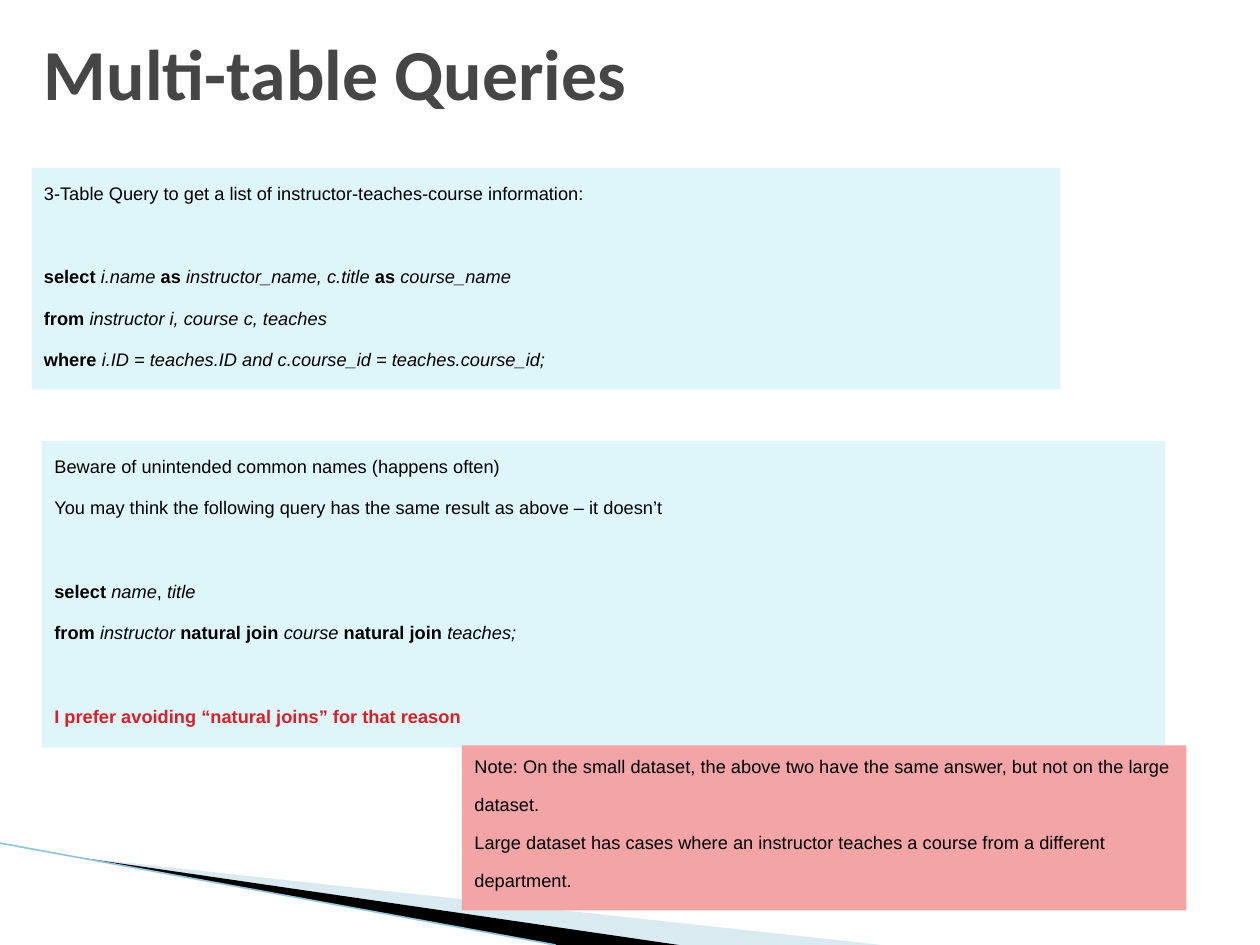
from lxml import etree
from pptx import Presentation
from pptx.dml.color import RGBColor
from pptx.enum.shapes import MSO_CONNECTOR, MSO_SHAPE
from pptx.enum.text import MSO_ANCHOR, PP_ALIGN
from pptx.oxml.ns import qn
from pptx.util import Inches, Pt

RECTANGLE, STRAIGHT = MSO_SHAPE.RECTANGLE, MSO_CONNECTOR.STRAIGHT
TOP, MIDDLE, LEFT = MSO_ANCHOR.TOP, MSO_ANCHOR.MIDDLE, PP_ALIGN.LEFT

COLORS = {"title": "464646", "text": "000000", "warning": "DA1F28",
          "query": "DEF5FA", "note": "F2A4A7",
          "light": "A0CBDC", "dark": "000000", "edge": "97C5D8"}

# The slide is a grid of 120 columns by 90 rows
CELL = Inches(1) / 12
COLUMNS, ROWS = 120, 90

# Run styles
PLAIN = {}
KEYWORD = {"bold": True}
NAME = {"italic": True}
TITLE = {"size": Pt(41), "name": "Calibri", "bold": True}
BODY = {"size": Pt(18), "name": "Arial"}
RAISE = "30000"  # body text is set as superscript
BLANK_LINE = Pt(24)

# Each line: space before, then its (text, style) runs
THREE_TABLE_QUERY = [
    (0, [("3-Table Query to get a list of instructor-teaches-course information:", PLAIN)]),
    (BLANK_LINE, [("select ", KEYWORD), ("i.name ", NAME), ("as ", KEYWORD),
                  ("instructor_name, c.title ", NAME), ("as ", KEYWORD),
                  ("course_name", NAME)]),
    (0, [("from ", KEYWORD), ("instructor i, course c, teaches", NAME)]),
    (0, [("where ", KEYWORD),
         ("i.ID = teaches.ID and c.course_id = teaches.course_id;", NAME)]),
]
NATURAL_JOIN_QUERY = [
    (0, [("Beware of unintended common names (happens often)", PLAIN)]),
    (0, [("You may think the following query has the same result as above – it doesn’t", PLAIN)]),
    (BLANK_LINE, [("select ", KEYWORD), ("name", NAME), (", ", PLAIN), ("title", NAME)]),
    (0, [("from ", KEYWORD), ("instructor ", NAME), ("natural join ", KEYWORD),
         ("course ", NAME), ("natural join ", KEYWORD), ("teaches;", NAME)]),
    (BLANK_LINE, [("I prefer avoiding “natural joins” for that reason",
                   {"bold": True, "color": "warning"})]),
]
DATASET_NOTE = [
    (0, [("Note: On the small dataset, the above two have the same answer, "
          "but not on the large dataset.", PLAIN)]),
    (0, [("Large dataset has cases where an instructor teaches a course "
          "from a different department.", PLAIN)]),
]


def grid(*cells):
    return [round(cell * CELL) for cell in cells]


def rgb(key):
    return RGBColor.from_string(COLORS[key])


def style_run(run, style):
    for key, value in style.items():
        if key == "color":
            run.font.color.rgb = rgb(value)
        else:
            setattr(run.font, key, value)


def add_title(slide, box, words):
    title = slide.shapes.add_textbox(*grid(*box))
    title.text_frame.word_wrap = True
    title.text_frame.vertical_anchor = MIDDLE
    run = title.text_frame.paragraphs[0].add_run()
    run.text = words
    style_run(run, {**TITLE, "color": "title"})


def add_panel(slide, box, fill, lines, line_spacing):
    panel = slide.shapes.add_shape(RECTANGLE, *grid(*box))
    panel.shadow.inherit = False
    panel.fill.solid()
    panel.fill.fore_color.rgb = rgb(fill)
    panel.line.fill.background()
    frame = panel.text_frame
    frame.word_wrap = True
    frame.vertical_anchor = TOP
    for index, (gap, runs) in enumerate(lines):
        paragraph = frame.add_paragraph() if index else frame.paragraphs[0]
        paragraph.alignment = LEFT
        paragraph.line_spacing = line_spacing
        paragraph.space_before = Pt(0) + gap
        for words, style in runs:
            run = paragraph.add_run()
            run.text = words
            style_run(run, {**BODY, "color": "text", **style})
            run.font._element.set("baseline", RAISE)


def add_wedge(slide, points, fill, opacity=None):
    start, *rest = [grid(*point) for point in points]
    builder = slide.shapes.build_freeform(*start)
    builder.add_line_segments(rest, close=True)
    wedge = builder.convert_to_shape()
    wedge.shadow.inherit = False
    wedge.fill.solid()
    wedge.fill.fore_color.rgb = rgb(fill)
    wedge.line.fill.background()
    if opacity:
        color = wedge._element.spPr.find(qn("a:solidFill"))[0]
        etree.SubElement(color, qn("a:alpha")).set("val", str(opacity * 1000))


def add_corner_sweep(slide, box):
    left, top, width, height = box
    bottom = top + height
    tip = (left + 7.8, top + 1.4)
    light_end, dark_end, edge_end = (left + width * share for share in (1, 0.77, 0.63))
    add_wedge(slide, [tip, (light_end, bottom), (dark_end, bottom)], "light", 40)
    add_wedge(slide, [tip, (dark_end, bottom), (edge_end, bottom)], "dark")
    edge = slide.shapes.add_connector(STRAIGHT, *grid(left, top, edge_end, bottom))
    edge.line.color.rgb = rgb("edge")
    edge.line.width = Pt(0.95)
    etree.SubElement(edge._element.spPr, qn("a:effectLst"))


def main():
    deck = Presentation()
    deck.slide_width, deck.slide_height = grid(COLUMNS, ROWS)
    slide = deck.slides.add_slide(deck.slide_layouts[6])

    # Corner decoration
    add_corner_sweep(slide, (0, 80.3, 84, 9.7))
    # Heading
    add_title(slide, (3, 2, 111, 9.6), "Multi-table Queries")
    # Queries and the note on their results
    add_panel(slide, (3, 16, 98, 21.1), "query", THREE_TABLE_QUERY, 1.1)
    add_panel(slide, (4, 42, 107, 29.2), "query", NATURAL_JOIN_QUERY, 1.1)
    add_panel(slide, (44, 71, 69, 15.7), "note", DATASET_NOTE, 1.0)

    deck.save("out.pptx")


if __name__ == "__main__":
    main()
